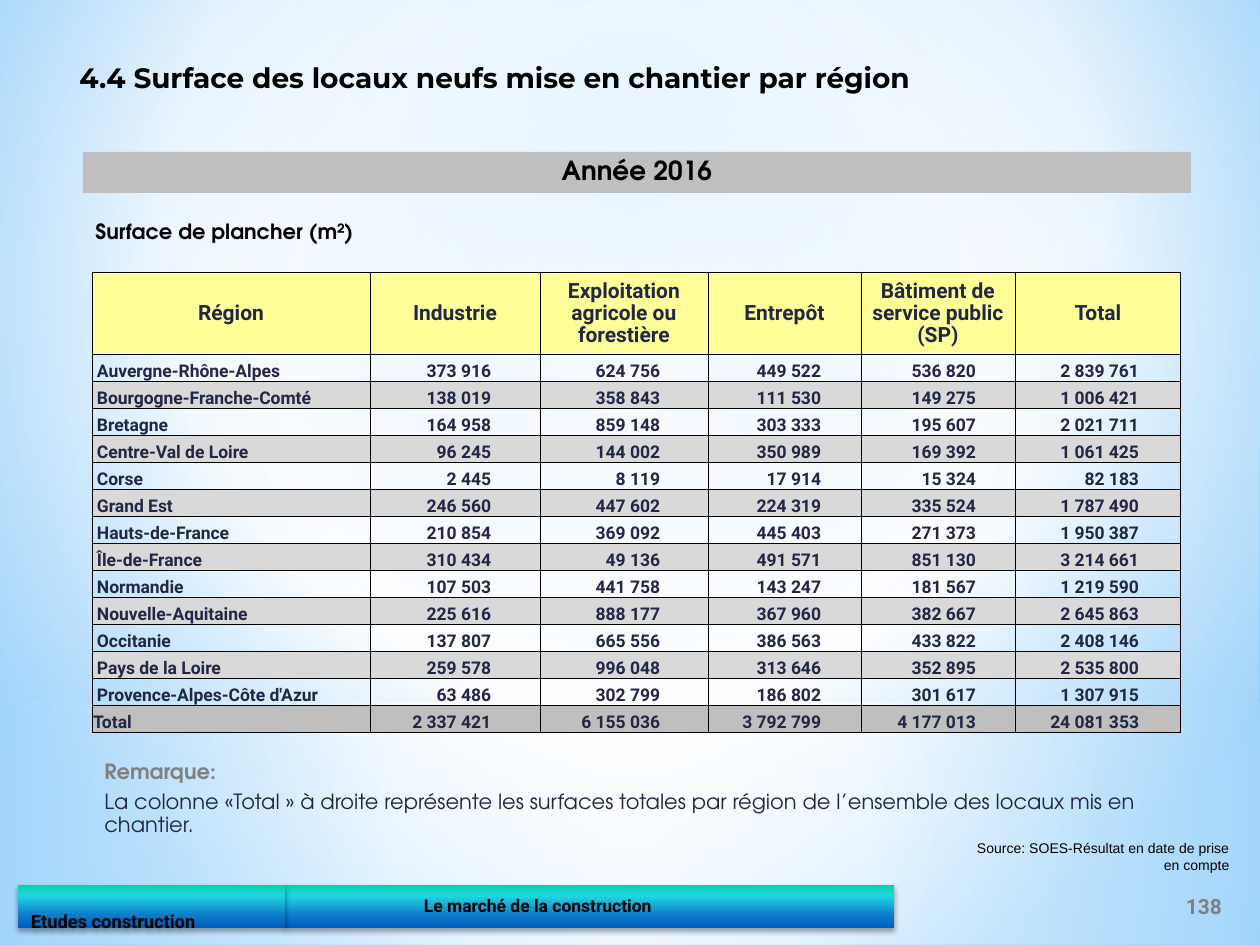
import dataclasses

import pptx
import pptx.dml.color
import pptx.enum.shapes
import pptx.enum.text
import pptx.oxml
import pptx.oxml.ns
import pptx.util

ALIGN = pptx.enum.text.PP_ALIGN
ANCHOR = pptx.enum.text.MSO_ANCHOR
SHAPE = pptx.enum.shapes.MSO_SHAPE
NS = pptx.oxml.ns.nsdecls("a")


@dataclasses.dataclass(frozen=True)
class Theme:
    black: str = "000000"
    source: str = "080000"
    navy: str = "212745"
    muted: str = "808080"
    header: str = "FFFF99"
    stripe: str = "D9D9D9"
    band: str = "BFBFBF"
    heading_font: str = "Montserrat"
    text_font: str = "TeX Gyre Adventor"
    data_font: str = "Roboto"
    source_font: str = "Arial"
    title_size: float = 16
    year_size: float = 15
    body_size: float = 12
    section_size: float = 10.5
    data_size: float = 10
    source_size: float = 8
    backdrop: tuple = ((0, "9ED5FF", 100), (60, "FFFFFF", 100), (100, "5BB9FF", 100))
    lower_glow: tuple = ((0, "FFFFFF", 91), (37, "FFFFFF", 76), (100, "B4DCFA", 79))
    upper_glow: tuple = ((0, "FFFFFF", 89), (48, "FFFFFF", 62), (100, "B4DCFA", 79))
    footer: tuple = ((0, "03D4A8", 100), (25, "21D6E0", 100), (72, "0D79CA", 100), (100, "005CBF", 100))


THEME = Theme()

HEADERS = ["Région", "Industrie", "Exploitation agricole ou forestière", "Entrepôt",
           "Bâtiment de service public (SP)", "Total"]
REGIONS = [
    ("Auvergne-Rhône-Alpes", 373916, 624756, 449522, 536820, 2839761),
    ("Bourgogne-Franche-Comté", 138019, 358843, 111530, 149275, 1006421),
    ("Bretagne", 164958, 859148, 303333, 195607, 2021711),
    ("Centre-Val de Loire", 96245, 144002, 350989, 169392, 1061425),
    ("Corse", 2445, 8119, 17914, 15324, 82183),
    ("Grand Est", 246560, 447602, 224319, 335524, 1787490),
    ("Hauts-de-France", 210854, 369092, 445403, 271373, 1950387),
    ("Île-de-France", 310434, 49136, 491571, 851130, 3214661),
    ("Normandie", 107503, 441758, 143247, 181567, 1219590),
    ("Nouvelle-Aquitaine", 225616, 888177, 367960, 382667, 2645863),
    ("Occitanie", 137807, 665556, 386563, 433822, 2408146),
    ("Pays de la Loire", 259578, 996048, 313646, 352895, 2535800),
    ("Provence-Alpes-Côte d'Azur", 63486, 302799, 186802, 301617, 1307915),
]
TOTALS = ("Total", 2337421, 6155036, 3792799, 4177013, 24081353)


def px(length):
    return pptx.util.Emu(round(length * 914400 / 126))


def rgb(color):
    return pptx.dml.color.RGBColor.from_string(color)


def style(paragraph, size, font, color, bold=True, align=ALIGN.LEFT, spacing=0.9):
    paragraph.alignment = align
    paragraph.line_spacing = spacing
    for run in paragraph.runs:
        run.font.size = pptx.util.Pt(size)
        run.font.name = font
        run.font.bold = bold
        run.font.color.rgb = rgb(color)


def set_gradient(fill, owner, stops, direction):
    fill.gradient()
    stop_list = "".join(
        f'<a:gs pos="{position * 1000}"><a:srgbClr val="{color}">'
        f'<a:alpha val="{alpha * 1000}"/></a:srgbClr></a:gs>'
        for position, color, alpha in stops)
    gradient = pptx.oxml.parse_xml(
        f'<a:gradFill {NS} rotWithShape="1"><a:gsLst>{stop_list}</a:gsLst>{direction}</a:gradFill>')
    plain = owner.xpath(".//a:gradFill")[0]
    plain.getparent().replace(plain, gradient)


def circle(left, top, right, bottom):
    return (f'<a:path path="circle"><a:fillToRect l="{left}000" t="{top}000" '
            f'r="{right}000" b="{bottom}000"/></a:path>')


def add_panel(slide, box, preset=SHAPE.RECTANGLE):
    panel = slide.shapes.add_shape(preset, *map(px, box))
    panel.shadow.inherit = False
    panel.line.fill.background()
    return panel


def add_label(slide, box, text, *look, anchor=ANCHOR.TOP, wrap=True, **layout):
    frame = slide.shapes.add_textbox(*map(px, box)).text_frame
    frame.word_wrap = wrap
    frame.vertical_anchor = anchor
    frame.text = text
    style(frame.paragraphs[0], *look, **layout)
    return frame


def add_background(slide, box):
    left, top, width, height = box
    horizon = 703
    set_gradient(slide.background.fill, slide.element, THEME.backdrop, circle(20, 10, 20, 60))
    for glow_top, glow_height, stops in (
            (top + horizon, height - horizon, THEME.lower_glow), (top, horizon, THEME.upper_glow)):
        glow = add_panel(slide, (left, glow_top, width, glow_height))
        set_gradient(glow.fill, glow.element, stops, circle(50, 50, 50, 50))


def add_footer(slide, box):
    left, top, width, height = box
    study_width = 267
    sections = (
        ("Le marché de la construction", left + study_width, width - study_width, 139, 6,
         ANCHOR.MIDDLE, THEME.data_size),
        ("Etudes construction", left, study_width, 13, 28, ANCHOR.TOP, THEME.section_size))
    for text, section_left, section_width, indent, drop, anchor, size in sections:
        section = add_panel(slide, (section_left, top, section_width, height), SHAPE.FRAME)
        section.adjustments[0] = 0.5
        set_gradient(section.fill, section.element, THEME.footer, '<a:lin ang="5400000" scaled="0"/>')
        section.element.xpath("./p:spPr/a:effectLst")[0].append(pptx.oxml.parse_xml(
            f'<a:outerShdw {NS} blurRad="39370" dist="22860" dir="5400000" rotWithShape="0">'
            f'<a:srgbClr val="{THEME.black}"><a:alpha val="35000"/></a:srgbClr></a:outerShdw>'))
        frame = section.text_frame
        frame.word_wrap = True
        frame.margin_left, frame.margin_top = px(indent), px(drop)
        frame.vertical_anchor = anchor
        frame.text = text
        style(frame.paragraphs[0], size, THEME.data_font, THEME.black)


def add_year(slide, box):
    year = add_panel(slide, box)
    year.fill.solid()
    year.fill.fore_color.rgb = rgb(THEME.band)
    year.text_frame.text = "Année 2016"
    year.text_frame.vertical_anchor = ANCHOR.TOP
    style(year.text_frame.paragraphs[0], THEME.year_size, THEME.text_font, THEME.black, align=ALIGN.CENTER)


def add_remark(slide, box):
    frame = add_label(slide, box, "Remarque:", THEME.body_size, THEME.text_font, THEME.muted)
    remark = frame.add_paragraph()
    remark.text = ("La colonne «Total\u00a0» à droite représente les surfaces totales par région "
                   "de l’ensemble des locaux mis en chantier.")
    style(remark, THEME.body_size, THEME.text_font, THEME.navy, bold=False)
    remark.space_before = pptx.util.Pt(4.5)


def set_cell(cell, text, size, align, anchor, fill, left=1, right=1):
    properties = cell._tc.get_or_add_tcPr()
    for side in "LRTB":
        properties.append(pptx.oxml.parse_xml(
            f'<a:ln{side} {NS} w="6350"><a:solidFill><a:srgbClr val="{THEME.black}"/>'
            f'</a:solidFill></a:ln{side}>'))
    if fill:
        cell.fill.solid()
        cell.fill.fore_color.rgb = rgb(fill)
    else:
        cell.fill.background()
    cell.margin_left, cell.margin_right = px(left), px(right)
    cell.margin_top, cell.margin_bottom = px(1), 0
    cell.vertical_anchor = anchor
    cell.text = text
    style(cell.text_frame.paragraphs[0], size, THEME.data_font, THEME.navy, align=align)


def add_surfaces(slide, box):
    records = REGIONS + [TOTALS]
    table = slide.shapes.add_table(len(records) + 1, len(HEADERS), *map(px, box)).table
    table.first_row = table.horz_banding = False
    for column, width in zip(table.columns, (278, 170, 168, 153, 154, 166)):
        column.width = px(width)
    header_height = 82
    table.rows[0].height = px(header_height)
    for column, header in enumerate(HEADERS):
        set_cell(table.cell(0, column), header, THEME.body_size, ALIGN.CENTER, ANCHOR.MIDDLE, THEME.header)
    number_margins = (49, 48, 40, 39, 42)
    for row, (region, *surfaces) in enumerate(records, start=1):
        table.rows[row].height = px((box[3] - header_height) / len(records))
        is_total = row == len(records)
        fill = THEME.band if is_total else THEME.stripe if row % 2 == 0 else None
        set_cell(table.cell(row, 0), region, THEME.data_size, ALIGN.LEFT, ANCHOR.BOTTOM, fill,
                 left=1 if is_total else 5)
        for column, (surface, margin) in enumerate(zip(surfaces, number_margins), start=1):
            set_cell(table.cell(row, column), f"{surface:,}".replace(",", " "), THEME.data_size,
                     ALIGN.RIGHT, ANCHOR.BOTTOM, fill, right=margin)


def main():
    deck = pptx.Presentation()
    deck.slide_width, deck.slide_height = px(1260), px(945)
    slide = deck.slides.add_slide(deck.slide_layouts[6])
    add_background(slide, (0, 0, 1260, 945))
    add_footer(slide, (18, 885, 876, 43))
    add_label(slide, (1167, 881, 74, 50), "138", THEME.body_size, THEME.data_font, THEME.muted,
              anchor=ANCHOR.MIDDLE, align=ALIGN.CENTER, spacing=1.0)
    add_year(slide, (83, 152, 1108, 41))
    add_remark(slide, (92, 755, 1089, 91))
    add_label(slide, (83, 215, 287, 35), "Surface de plancher (m²)",
              THEME.body_size, THEME.text_font, THEME.black)
    add_surfaces(slide, (92, 272, 1089, 461))
    add_label(slide, (67, 54, 1018, 55), "4.4 Surface des locaux neufs mise en chantier par région",
              THEME.title_size, THEME.heading_font, THEME.black, spacing=1.0)
    add_label(slide, (964, 837, 278, 39), "Source: SOES-Résultat en date de prise en compte",
              THEME.source_size, THEME.source_font, THEME.source, False,
              anchor=ANCHOR.MIDDLE, wrap=False, align=ALIGN.RIGHT, spacing=1.0)
    deck.save("out.pptx")


if __name__ == "__main__":
    main()
